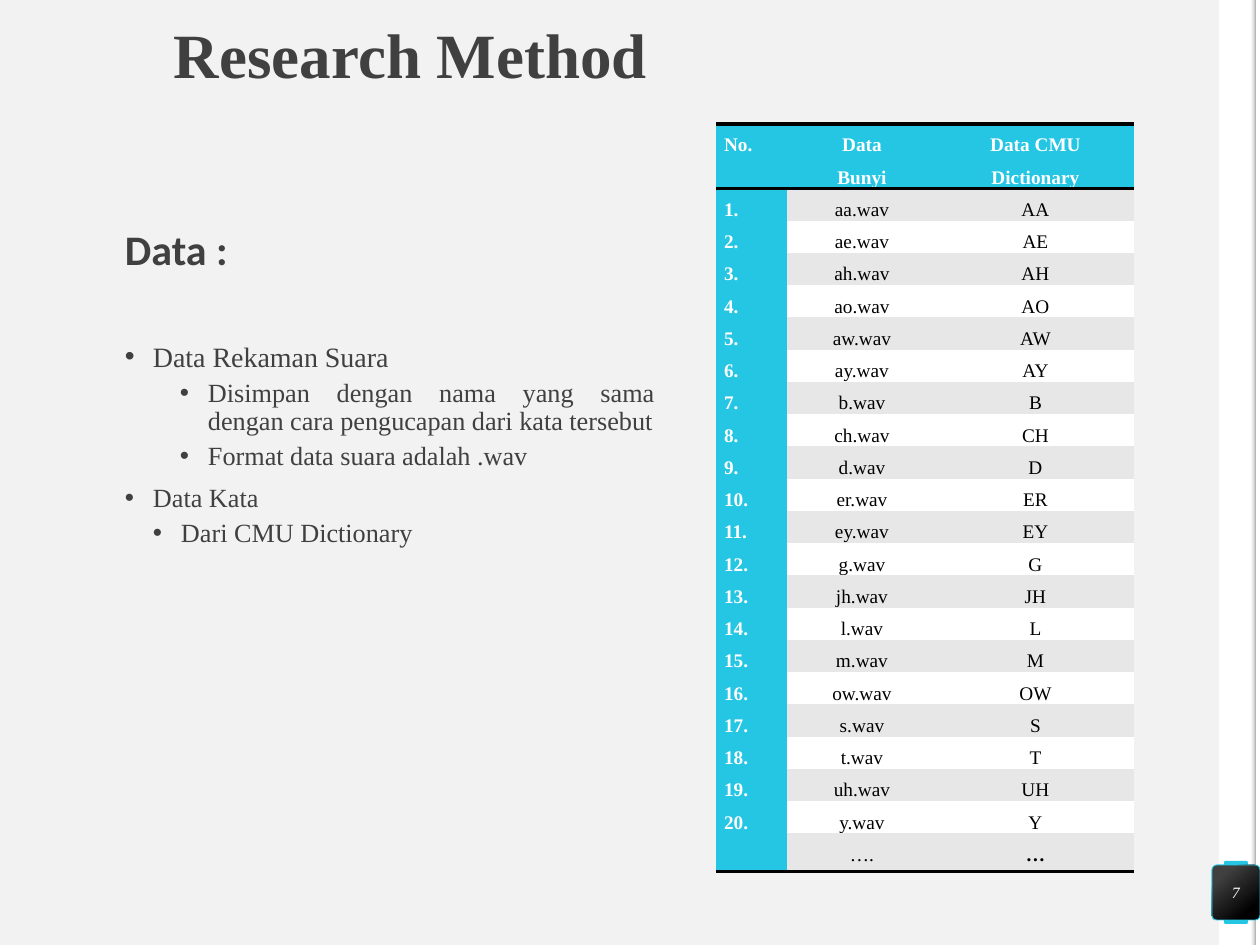
from lxml import etree
from pptx import Presentation
from pptx.dml.color import RGBColor
from pptx.enum.shapes import MSO_SHAPE
from pptx.enum.text import MSO_ANCHOR, PP_ALIGN
from pptx.oxml.ns import qn
from pptx.util import Emu, Pt

SERIF = "Times New Roman"
DARK, CYAN, WHITE, PALE, BLACK = "404040", "25C6E3", "FFFFFF", "F2F2F2", "000000"
BAND = "E7E7E7"
NO_STYLE = "{2D5ABB26-0587-4C30-8999-92F81FD0307C}"
SOUNDS = "aa ae ah ao aw ay b ch d er ey g jh l m ow s t uh y".split()


def px(n):
    return Emu(round(n * 914400 / 126))


def rgb(hex_color):
    return RGBColor.from_string(hex_color)


def set_attrs(obj, values):
    for name, value in values.items():
        setattr(obj, name, value)


def write_par(p, text, size, color, bold=False, italic=False, font=SERIF, **layout):
    set_attrs(p, layout)
    r = p.add_run()
    r.text = text
    set_attrs(r.font, {"name": font, "size": Pt(size), "bold": bold, "italic": italic})
    r.font.color.rgb = rgb(color)


def next_par(tf, i):
    return tf.paragraphs[0] if i == 0 else tf.add_paragraph()


def set_frame(tf, anchor):
    set_attrs(tf, {"word_wrap": True, "vertical_anchor": anchor, "margin_left": 0,
                   "margin_top": 0, "margin_right": 0, "margin_bottom": 0})


def add_text(slide, box, anchor=MSO_ANCHOR.TOP):
    tf = slide.shapes.add_textbox(*map(px, box)).text_frame
    set_frame(tf, anchor)
    return tf


def add_bullet(p, left, hanging):
    pPr = p._p.get_or_add_pPr()
    pPr.set("marL", str(px(left)))
    pPr.set("indent", str(-px(hanging)))
    etree.SubElement(pPr, qn("a:buFont")).set("typeface", "Arial")
    etree.SubElement(pPr, qn("a:buChar")).set("char", "•")


def add_box(slide, kind, box, fill=None, radius=None, rotation=0):
    sp = slide.shapes.add_shape(kind, *map(px, box))
    sp.shadow.inherit = False
    sp.rotation = rotation
    sp.line.fill.background()
    if fill:
        sp.fill.solid()
        sp.fill.fore_color.rgb = rgb(fill)
    if radius:
        sp.adjustments[0] = radius
    return sp


def set_gradient(sp, stops, clockwise):
    sp.fill.gradient()
    sp.fill.gradient_angle = 360 - clockwise
    for stop, (position, color) in zip(sp.fill.gradient_stops, stops):
        stop.position = position
        stop.color.rgb = rgb(color)


def add_edge(slide):
    add_box(slide, MSO_SHAPE.RECTANGLE, (1219, 0, 36, 945), WHITE)
    add_box(slide, MSO_SHAPE.ROUNDED_RECTANGLE, (1224, 861, 24, 63), CYAN, 0.07)
    add_box(slide, MSO_SHAPE.RECTANGLE, (785, 470, 945, 5), WHITE, rotation=90)
    shade = add_box(slide, MSO_SHAPE.RECTANGLE, (780, 470, 945, 5), rotation=90)
    set_gradient(shade, [(0, PALE), (1, "A6A6A6")], 270)
    first = next(shade.element.iter(qn("a:gs")))
    etree.SubElement(first[0], qn("a:alpha")).set("val", "0")


def add_badge(slide, number):
    sp = add_box(slide, MSO_SHAPE.ROUNDED_RECTANGLE, (1212, 865, 48, 55), radius=0.1)
    set_gradient(sp, [(0.2, DARK), (0.82, BLACK)], 50)
    sp.line.color.rgb = rgb(CYAN)
    sp.line.width = Pt(0.5)
    set_frame(sp.text_frame, MSO_ANCHOR.MIDDLE)
    write_par(sp.text_frame.paragraphs[0], number, 9, WHITE, italic=True,
              alignment=PP_ALIGN.CENTER)


def add_points(slide, box, points):
    tf = add_text(slide, box)
    for i, (text, size, level, left, hanging, before) in enumerate(points):
        p = next_par(tf, i)
        write_par(p, text, size, DARK, level=level, alignment=PP_ALIGN.JUSTIFY,
                  line_spacing=0.9, space_before=Pt(before))
        add_bullet(p, left, hanging)


def add_border(cell, sides):
    tcPr = cell._tc.get_or_add_tcPr()
    for i, side in enumerate(sides):
        ln = etree.Element(qn("a:ln" + side), w=str(Pt(2)))
        fill = etree.SubElement(ln, qn("a:solidFill"))
        etree.SubElement(fill, qn("a:srgbClr")).set("val", BLACK)
        tcPr.insert(i, ln)


def fill_cell(cell, text, fill, color, bold, align):
    set_attrs(cell, {"margin_left": px(8), "margin_right": px(8),
                     "margin_top": 0, "margin_bottom": 0})
    cell.fill.solid()
    cell.fill.fore_color.rgb = rgb(fill)
    for i, line in enumerate(text.split("\n")):
        write_par(next_par(cell.text_frame, i), line, 11, color, bold,
                  alignment=align, line_spacing=Pt(18.4))


def add_sound_table(slide, rows, origin, widths, head_height, row_height):
    height = head_height + row_height * (len(rows) - 1)
    frame = slide.shapes.add_table(len(rows), len(widths), *map(px, origin),
                                   px(sum(widths)), px(height))
    next(frame.element.iter(qn("a:tableStyleId"))).text = NO_STYLE
    table = frame.table
    for column, width in zip(table.columns, widths):
        column.width = px(width)
    for i, row in enumerate(rows):
        table.rows[i].height = px(row_height if i else head_height)
        for j, text in enumerate(row):
            cell = table.cell(i, j)
            label = i == 0 or j == 0
            fill = CYAN if label else BAND if i % 2 else WHITE
            align = PP_ALIGN.CENTER if j else PP_ALIGN.JUSTIFY
            bold = label or text == "…"
            fill_cell(cell, text, fill, WHITE if label else BLACK, bold, align)
            if i == 0:
                add_border(cell, "TB")
            elif i == len(rows) - 1:
                add_border(cell, "B")


def main():
    prs = Presentation()
    prs.slide_width, prs.slide_height = px(1260), px(945)
    slide = prs.slides.add_slide(prs.slide_layouts[6])
    slide.background.fill.solid()
    slide.background.fill.fore_color.rgb = rgb(PALE)

    add_edge(slide)
    title = add_text(slide, (174, 29, 566, 59), MSO_ANCHOR.MIDDLE)
    write_par(title.paragraphs[0], "Research Method", 36, DARK, True, line_spacing=0.9)
    add_badge(slide, "7")
    add_points(slide, (125, 343, 530, 277), [
        ("Data Rekaman Suara", 16, 0, 28, 28, 7.5),
        ("Disimpan dengan nama yang sama dengan cara pengucapan dari kata tersebut",
         15, 2, 83, 28, 3.8),
        ("Format data suara adalah .wav", 15, 2, 83, 28, 3.8),
        ("Data Kata", 15, 0, 28, 28, 7.5),
        ("Dari CMU Dictionary", 15, 1, 56, 28, 3.8),
    ])
    heading = add_text(slide, (125, 229, 566, 38))
    write_par(heading.paragraphs[0], "Data :", 24, DARK, True, font="Calibri",
              line_spacing=0.9, space_before=Pt(7.5))

    rows = [("No.", "Data\nBunyi", "Data CMU Dictionary")]
    rows += [(f"{n}.", f"{s}.wav", s.upper()) for n, s in enumerate(SOUNDS, 1)]
    rows.append(("", "….", "…"))
    add_sound_table(slide, rows, (716, 124), (71, 150, 197), 49, 25)
    prs.save("out.pptx")


main()
